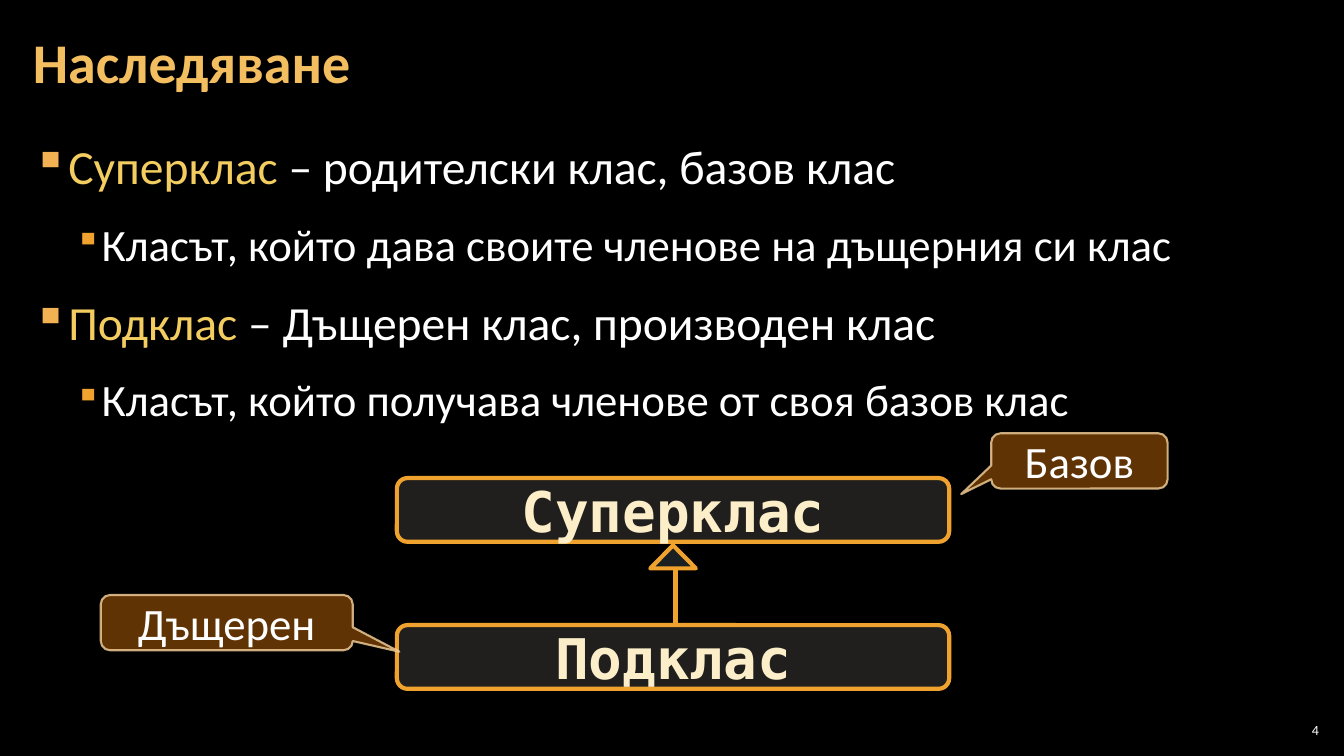
from dataclasses import dataclass

import lxml.etree
import pptx
import pptx.dml.color
import pptx.enum.shapes
import pptx.enum.text
import pptx.oxml.ns
import pptx.util

Pt = pptx.util.Pt
qn = pptx.oxml.ns.qn
SHAPE = pptx.enum.shapes.MSO_SHAPE
ALIGN = pptx.enum.text.PP_ALIGN
ANCHOR = pptx.enum.text.MSO_ANCHOR

COLORS = {
    "background": "000000", "text": "FFFFFF", "title": "F3BE60",
    "term": "F3CD60", "bullet": "F2B254", "accent": "F0A22E",
    "class_fill": "D9D5C7", "class_text": "FBEEC9", "arrow_fill": "B5DBE5",
    "callout_fill": "663606", "callout_line": "F8D49E",
}
BODY_FONT = "Calibri"
CODE_FONT = "DejaVu Sans Mono"


@dataclass
class Definition:
    term: str
    synonyms: str
    explanation: str


@dataclass
class ClassBox:
    name: str
    top: float


@dataclass
class Callout:
    label: str
    left: float
    top: float
    width: float
    tip: tuple[float, float]


DEFINITIONS = [
    Definition("Суперклас ", "– родителски клас, базов клас",
               "Класът, който дава своите членове на дъщерния си клас"),
    Definition("Подклас ", "– Дъщерен клас, производен клас",
               "Класът, който получава членове от своя базов клас"),
]
CLASS_BOXES = [ClassBox("Суперклас", 341.5), ClassBox("Подклас", 446.5)]
CALLOUTS = [
    Callout("Дъщерен", 72, 425, 180, (0.685, 0.526)),
    Callout("Базов", 708, 309.5, 126, (-0.67, 0.6)),
]


def rgb(name: str) -> pptx.dml.color.RGBColor:
    return pptx.dml.color.RGBColor.from_string(COLORS[name])


def style(font, size: float, color: str, face: str = BODY_FONT, bold: bool = False) -> None:
    font.size = Pt(size)
    font.name = face
    font.bold = bold
    font.color.rgb = rgb(color)


def set_opacity(paint, percent: int) -> None:
    """Make the solid colour directly under an spPr or a:ln element translucent."""
    color = paint.find(f"{qn('a:solidFill')}/{qn('a:srgbClr')}")
    lxml.etree.SubElement(color, qn("a:alpha"), val=str(percent * 1000))


def set_margins(frame) -> None:
    frame.margin_left = frame.margin_right = Pt(8.5)
    frame.margin_top = frame.margin_bottom = Pt(2.83)


def add_bullet(paragraph, color: str, size: int, margin: float, hanging: float) -> None:
    properties = paragraph._p.get_or_add_pPr()
    properties.set("marL", str(Pt(margin)))
    properties.set("indent", str(-Pt(hanging)))
    bullet_color = lxml.etree.SubElement(properties, qn("a:buClr"))
    lxml.etree.SubElement(bullet_color, qn("a:srgbClr"), val=COLORS[color])
    lxml.etree.SubElement(properties, qn("a:buSzPct"), val=str(size * 1000))
    lxml.etree.SubElement(properties, qn("a:buChar"), char="▪")


def add_title(slide) -> None:
    title = slide.shapes.title
    title.left, title.top, title.width, title.height = Pt(15), Pt(3), Pt(754), Pt(87)
    frame = title.text_frame
    frame.text = "Наследяване"
    frame.auto_size = pptx.enum.text.MSO_AUTO_SIZE.NONE
    frame.vertical_anchor = ANCHOR.MIDDLE
    set_margins(frame)
    heading = frame.paragraphs[0]
    heading.alignment = ALIGN.LEFT
    heading.line_spacing = 0.9
    style(heading.runs[0].font, 40, "title", bold=True)


def add_definitions(slide) -> None:
    frame = slide.shapes.add_textbox(Pt(15), Pt(91), Pt(930), Pt(438)).text_frame
    frame.word_wrap = True
    set_margins(frame)
    for index, definition in enumerate(DEFINITIONS):
        heading = frame.add_paragraph() if index else frame.paragraphs[0]
        explanation = frame.add_paragraph()
        explanation.level = 1
        add_bullet(heading, "bullet", 100, 24, 24)
        add_bullet(explanation, "accent", 80, 48, 18)
        for paragraph in (heading, explanation):
            paragraph.line_spacing = 1.1
            paragraph.space_before = Pt(0 if paragraph is heading and not index else 6)
            paragraph.space_after = Pt(6)
        for paragraph, text, size, color in (
            (heading, definition.term, 34, "term"),
            (heading, definition.synonyms, 34, "text"),
            (explanation, definition.explanation, 32, "text"),
        ):
            run = paragraph.add_run()
            run.text = text
            style(run.font, size, color)


def add_filled_shape(slide, kind, box: tuple[float, float, float, float], fill: str,
                     fill_opacity: int, line: str, line_width: float):
    shape = slide.shapes.add_shape(kind, *map(Pt, box))
    shape.shadow.inherit = False
    shape.fill.solid()
    shape.fill.fore_color.rgb = rgb(fill)
    set_opacity(shape._element.spPr, fill_opacity)
    shape.line.color.rgb = rgb(line)
    shape.line.width = Pt(line_width)
    return shape


def set_label(shape, text: str) -> pptx.text.text.Font:
    """Centre the text in the shape and return its font."""
    frame = shape.text_frame
    frame.text = text
    frame.vertical_anchor = ANCHOR.MIDDLE
    frame.paragraphs[0].alignment = ALIGN.CENTER
    return frame.paragraphs[0].runs[0].font


def add_class_box(slide, box: ClassBox) -> None:
    shape = add_filled_shape(slide, SHAPE.ROUNDED_RECTANGLE, (283.5, box.top, 394.5, 45.5),
                             "class_fill", 15, "accent", 3)
    style(set_label(shape, box.name), 40, "class_text", CODE_FONT, bold=True)
    shape.text_frame.word_wrap = False


def add_inheritance_arrow(slide) -> None:
    stem = slide.shapes.add_connector(pptx.enum.shapes.MSO_CONNECTOR.STRAIGHT,
                                      Pt(482.5), Pt(447), Pt(482.5), Pt(405.5))
    stem.line.color.rgb = rgb("accent")
    stem.line.width = Pt(3)
    lxml.etree.SubElement(stem._element.spPr, qn("a:effectLst"))
    add_filled_shape(slide, SHAPE.ISOSCELES_TRIANGLE, (464.5, 389.5, 32.5, 16.5),
                     "arrow_fill", 15, "accent", 3)


def add_callout(slide, callout: Callout) -> None:
    box = (callout.left, callout.top, callout.width, 39.5)
    shape = add_filled_shape(slide, SHAPE.ROUNDED_RECTANGULAR_CALLOUT, box,
                             "callout_fill", 95, "callout_line", 1.5)
    set_opacity(shape._element.spPr.find(qn("a:ln")), 80)
    shape.adjustments[0], shape.adjustments[1] = callout.tip
    style(set_label(shape, callout.label), 32, "text")


def add_slide_number(slide) -> None:
    frame = slide.shapes.add_textbox(Pt(911), Pt(514), Pt(34), Pt(15)).text_frame
    frame.word_wrap = True
    frame.margin_left = frame.margin_right = Pt(2.83)
    frame.margin_top = frame.margin_bottom = Pt(2.83)
    frame.vertical_anchor = ANCHOR.MIDDLE
    frame.text = "4"
    frame.paragraphs[0].alignment = ALIGN.RIGHT
    style(frame.paragraphs[0].runs[0].font, 10, "text")


def main() -> None:
    presentation = pptx.Presentation()
    presentation.slide_width, presentation.slide_height = Pt(960), Pt(540)
    slide = presentation.slides.add_slide(presentation.slide_layouts[5])
    slide.background.fill.solid()
    slide.background.fill.fore_color.rgb = rgb("background")
    add_slide_number(slide)
    add_definitions(slide)
    add_title(slide)
    for box in CLASS_BOXES:
        add_class_box(slide, box)
    add_inheritance_arrow(slide)
    for callout in CALLOUTS:
        add_callout(slide, callout)
    presentation.save("out.pptx")


if __name__ == "__main__":
    main()
